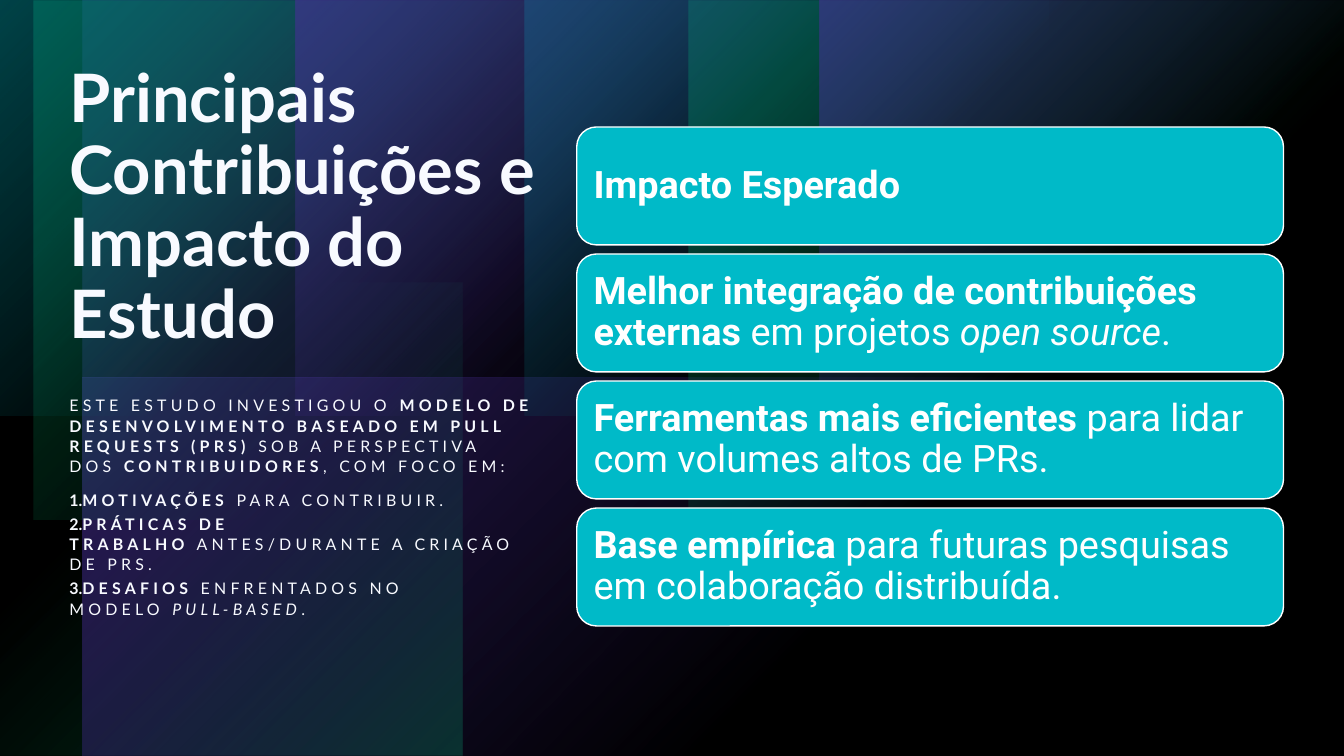
from lxml.etree import SubElement
from pptx import Presentation
from pptx.dml.color import RGBColor
from pptx.enum.shapes import MSO_SHAPE as Shape
from pptx.enum.text import MSO_ANCHOR as Anchor, PP_ALIGN as Align
from pptx.oxml import parse_xml
from pptx.oxml.ns import nsdecls, qn
from pptx.util import Inches, Pt

BLACK = RGBColor(0x00, 0x00, 0x00)
WHITE = RGBColor(0xFF, 0xFF, 0xFF)
PALE = RGBColor(0xF8, 0xFA, 0xFF)
TEAL = RGBColor(0x00, 0xBA, 0xC8)
GREEN = RGBColor(0x00, 0xD1, 0x7D)
VIOLET = RGBColor(0x79, 0x4D, 0xFF)

WIDTH, HEIGHT = 13.33, 7.5
NBSP = chr(160)
PLAIN, BOLD, ITALIC = "plain", "bold", "italic"

SOFT = [(0, 40), (34, 20), (65, 0)]
STRONG = [(0, 60), (60, 0)]
GREEN_FADE = [(0, 60), (63, 0)]
TOP_LEFT, BOTTOM_RIGHT = "rb", "lt"

GLOWS = [
    ((0, 2.8, 4.59, 4.7), 0, "H", GREEN, SOFT, BOTTOM_RIGHT),
    ((5.2, -4.39, 3.75, 12.52), 90, "H", VIOLET, STRONG, TOP_LEFT),
    ((5.2, -0.64, 3.75, 12.52), 90, "", VIOLET, STRONG, TOP_LEFT),
    ((7.51, -0.67, 5.15, 6.5), 270, "H", GREEN, GREEN_FADE, TOP_LEFT),
    ((1.01, -0.67, 5.15, 6.5), 270, "HV", GREEN, GREEN_FADE, TOP_LEFT),
    ((0, 0, 5.2, 4.12), 0, "H", TEAL, STRONG, TOP_LEFT),
    ((5.2, 0, 5.2, 4.12), 0, "", TEAL, STRONG, TOP_LEFT),
    ((2.93, 0, 5.2, 4.12), 0, "H", VIOLET, STRONG, TOP_LEFT),
    ((8.13, 0, 5.2, 4.12), 0, "", VIOLET, STRONG, TOP_LEFT),
]

TITLE = "Principais Contribuições e Impacto do Estudo"
INTRO = [
    ("ESTE ESTUDO INVESTIGOU O~", PLAIN),
    ("MODELO DE DESENVOLVIMENTO BASEADO EM PULL REQUESTS (PRS)", BOLD),
    ("~SOB A PERSPECTIVA DOS~", PLAIN),
    ("CONTRIBUIDORES", BOLD),
    (", COM FOCO EM:", PLAIN),
]
FOCUS_POINTS = [
    [("MOTIVAÇÕES", BOLD), ("~PARA CONTRIBUIR.", PLAIN)],
    [("PRÁTICAS DE TRABALHO", BOLD), ("~ANTES/DURANTE A CRIAÇÃO DE PRS.", PLAIN)],
    [("DESAFIOS", BOLD), ("~ENFRENTADOS NO MODELO~", PLAIN),
     ("PULL-BASED", ITALIC), (".", PLAIN)],
]
IMPACTS = [
    [("Impacto Esperado", BOLD)],
    [("Melhor integração de contribuições externas", BOLD),
     ("~em projetos~", PLAIN), ("open source", ITALIC), (".", PLAIN)],
    [("Ferramentas mais eficientes", BOLD),
     ("~para lidar com volumes altos de PRs.", PLAIN)],
    [("Base empírica", BOLD),
     ("~para futuras pesquisas em colaboração distribuída.", PLAIN)],
]


def add_panel(page, kind, box):
    panel = page.shapes.add_shape(kind, *map(Inches, box))
    panel.shadow.inherit = False
    return panel


def add_text_box(page, box):
    frame = page.shapes.add_textbox(*map(Inches, box)).text_frame
    frame.word_wrap = True
    return frame


def write_spans(para, spans, face, size, color, tracking=0):
    para.alignment = Align.LEFT
    para.font.name = face
    para.font.size = Pt(size)
    para.font.color.rgb = color
    for text, style in spans:
        span = para.add_run()
        span.text = text.replace("~", NBSP)
        span.font.bold = style == BOLD
        span.font.italic = style == ITALIC
        if tracking:
            span.font._element.set("spc", str(tracking * 100))


def add_glow(page, box, angle, flips, color, stops, focus):
    glow = add_panel(page, Shape.RECTANGLE, box)
    glow.rotation = angle
    glow.line.fill.background()
    properties = glow.element.spPr
    for axis in flips:
        properties.find(qn("a:xfrm")).set(f"flip{axis}", "1")
    stop_xml = "".join(
        f'<a:gs pos="{place * 1000}"><a:srgbClr val="{color}">'
        f'<a:alpha val="{alpha * 1000}"/></a:srgbClr></a:gs>'
        for place, alpha in stops)
    edges = " ".join(f'{edge}="100000"' for edge in focus)
    properties.find(qn("a:prstGeom")).addnext(parse_xml(
        f'<a:gradFill {nsdecls("a")} rotWithShape="1"><a:gsLst>{stop_xml}</a:gsLst>'
        f'<a:path path="circle"><a:fillToRect {edges}/></a:path></a:gradFill>'))


def add_backdrop(page, box):
    fill = page.background.fill
    fill.solid()
    fill.fore_color.rgb = BLACK
    left, top = box[:2]
    for (x, y, width, height), *look in GLOWS:
        add_glow(page, (left + x, top + y, width, height), *look)
    veil = add_panel(page, Shape.RECTANGLE, box)
    veil.line.fill.background()
    veil.fill.solid()
    veil.fill.fore_color.rgb = BLACK
    tint = veil.element.spPr.find(qn("a:solidFill"))[0]
    SubElement(tint, qn("a:alpha")).set("val", "40000")


def add_title(page, box):
    para = add_text_box(page, box).paragraphs[0]
    para.line_spacing = 0.9
    write_spans(para, [(TITLE, BOLD)], "Lato", 47.7, PALE)


def add_summary(page, box):
    frame = add_text_box(page, box)
    for number, spans in enumerate([INTRO] + FOCUS_POINTS):
        para = frame.add_paragraph() if number else frame.paragraphs[0]
        para.line_spacing = 1.05
        para.space_before = Pt(10 if number < 2 else 3)
        write_spans(para, spans, "Lato", 11.4, PALE, tracking=3)
        if number:
            properties = para._p.get_or_add_pPr()
            properties.set("marL", "0")
            properties.set("indent", "0")
            properties.find(qn("a:defRPr")).addprevious(parse_xml(
                f'<a:buAutoNum {nsdecls("a")} type="arabicPeriod"/>'))


def add_impact_cards(page, box):
    left, top, width, height = box
    gap = 0.09
    card_height = (height + gap) / len(IMPACTS) - gap
    for row, spans in enumerate(IMPACTS):
        card_top = top + row * (card_height + gap)
        card = add_panel(page, Shape.ROUNDED_RECTANGLE,
                         (left, card_top, width, card_height))
        card.fill.solid()
        card.fill.fore_color.rgb = TEAL
        card.line.color.rgb = WHITE
        card.line.width = Pt(1)
        frame = card.text_frame
        frame.word_wrap = True
        frame.vertical_anchor = Anchor.MIDDLE
        frame.margin_left = frame.margin_right = Inches(0.11)
        frame.margin_top = frame.margin_bottom = Inches(0.11)
        para = frame.paragraphs[0]
        para.line_spacing = 0.9
        write_spans(para, spans, "Roboto", 27, WHITE)


def main():
    deck = Presentation()
    deck.slide_width, deck.slide_height = Inches(WIDTH), Inches(HEIGHT)
    page = deck.slides.add_slide(deck.slide_layouts[6])
    add_backdrop(page, (0, 0, WIDTH, HEIGHT))
    add_title(page, (0.59, 0.59, 4.93, 3.03))
    add_impact_cards(page, (5.72, 1.26, 7.01, 4.95))
    add_summary(page, (0.59, 3.87, 4.93, 3.03))
    deck.save("out.pptx")


if __name__ == "__main__":
    main()
